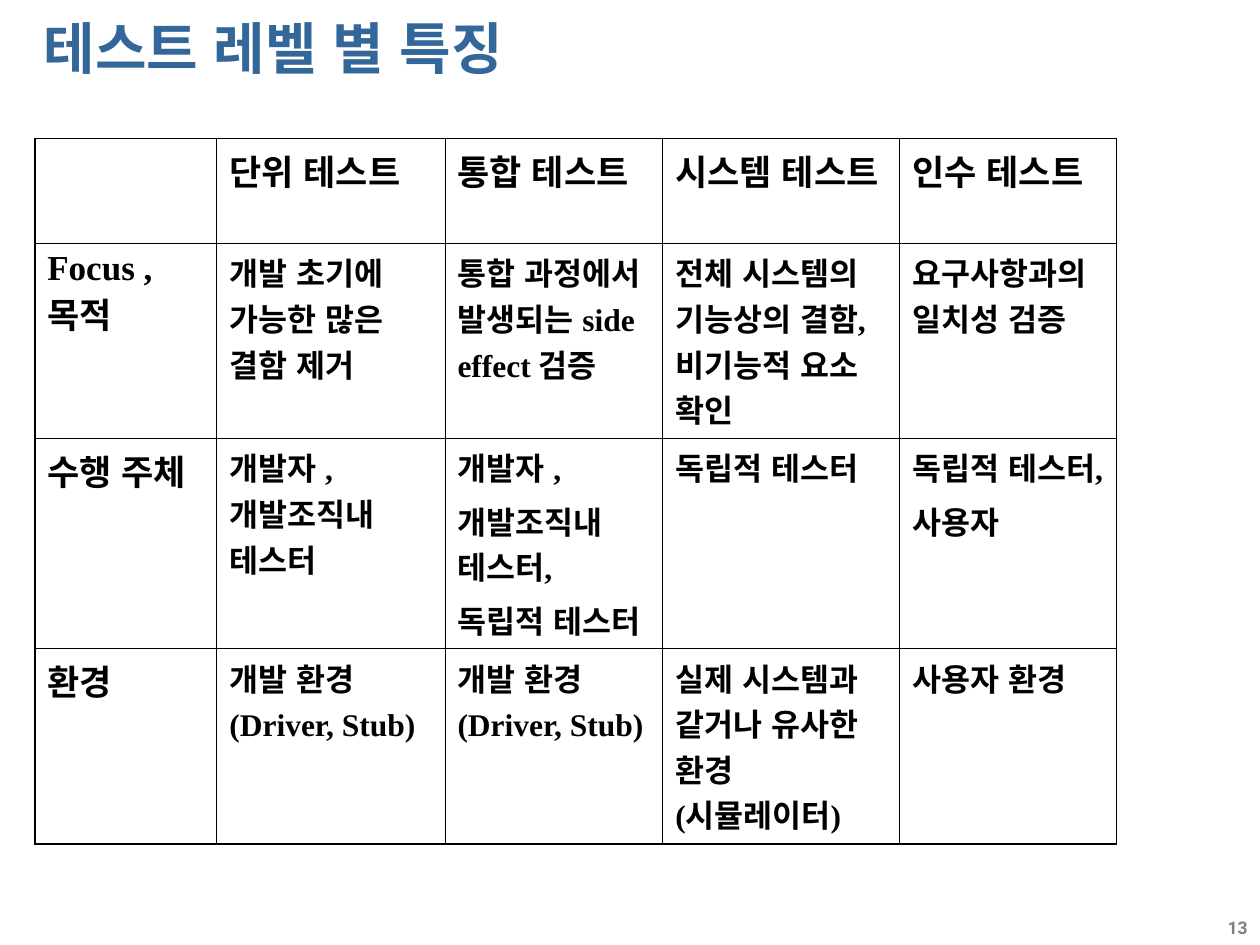
from lxml import etree
from pptx import Presentation
from pptx import util as u
from pptx.dml.color import RGBColor
from pptx.enum import lang, text
from pptx.oxml.ns import qn

COLORS = {"title": "336699", "ink": "000000", "page": "808080"}

TITLE = "테스트 레벨 별 특징"
PAGE = "13"
# Each cell is a list of paragraphs.
ROWS = [
    [[], ["단위 테스트"], ["통합 테스트"], ["시스템 테스트"], ["인수 테스트"]],
    [["Focus , 목적"], ["개발 초기에 가능한 많은 결함 제거"],
     ["통합 과정에서 발생되는 side effect 검증"],
     ["전체 시스템의 기능상의 결함, 비기능적 요소 확인"],
     ["요구사항과의 일치성 검증"]],
    [["수행 주체"], ["개발자 , 개발조직내 테스터"],
     ["개발자 ,", "개발조직내 테스터,", "독립적 테스터"],
     ["독립적 테스터"], ["독립적 테스터,", "사용자"]],
    [["환경"], ["개발 환경", "(Driver, Stub)"], ["개발 환경", "(Driver, Stub)"],
     ["실제 시스템과 같거나 유사한 환경 (시뮬레이터)"], ["사용자 환경"]],
]
COL_WIDTHS = [3.67, 4.6, 4.39, 4.78, 4.37]
ROW_HEIGHTS = [2.11, 3.93, 4.24, 3.94]
THIN, THICK = 0.45, 1.08


def write(tf, paragraphs, size, font="Times New Roman", color="ink",
          align=text.PP_ALIGN.LEFT, gap=0):
    tf.word_wrap = True
    for i, line in enumerate(paragraphs):
        p = tf.paragraphs[0] if i == 0 else tf.add_paragraph()
        p.alignment = align
        p._p.get_or_add_pPr().set("hangingPunct", "0")
        if i:
            p.space_before = u.Pt(gap)
        r = p.add_run()
        r.text = line
        r.font.size, r.font.bold, r.font.name = u.Pt(size), True, font
        r.font.color.rgb = RGBColor.from_string(COLORS[color])
        r.font.language_id = lang.MSO_LANGUAGE_ID.KOREAN


def add_text(slide, left, top, width, height, line,
             anchor=text.MSO_ANCHOR.TOP, **fmt):
    sp = slide.shapes.add_textbox(u.Cm(left), u.Cm(top), u.Cm(width), u.Cm(height))
    sp.text_frame.vertical_anchor = anchor
    write(sp.text_frame, [line], **fmt)


def set_borders(cell, widths):
    """Draw cell borders; widths are points for left, right, top, bottom."""
    pr = cell._tc.get_or_add_tcPr()
    for i, (side, width) in enumerate(zip("LRTB", widths)):
        ln = etree.Element(qn(f"a:ln{side}"), w=str(u.Pt(width)))
        fill = etree.SubElement(ln, qn("a:solidFill"))
        etree.SubElement(fill, qn("a:srgbClr"), val=COLORS["ink"])
        pr.insert(i, ln)


def add_level_table(slide, left, top):
    n_rows, n_cols = len(ROWS), len(COL_WIDTHS)
    table = slide.shapes.add_table(
        n_rows, n_cols, u.Cm(left), u.Cm(top),
        u.Cm(sum(COL_WIDTHS)), u.Cm(sum(ROW_HEIGHTS))).table
    table.first_row = table.horz_banding = False
    for col, width in zip(table.columns, COL_WIDTHS):
        col.width = u.Cm(width)
    for row, height in zip(table.rows, ROW_HEIGHTS):
        row.height = u.Cm(height)
    for i, row in enumerate(ROWS):
        for j, paragraphs in enumerate(row):
            cell = table.cell(i, j)
            cell.fill.background()
            size = 20 if i == 0 or j == 0 else 18
            write(cell.text_frame, paragraphs, size, gap=4.5)
            outer = (j == 0, j == n_cols - 1, i == 0, i == n_rows - 1)
            set_borders(cell, [THICK if edge else THIN for edge in outer])


def main():
    prs = Presentation()
    prs.slide_width, prs.slide_height = u.Cm(25.4), u.Cm(19.05)
    slide = prs.slides.add_slide(prs.slide_layouts[6])
    add_text(slide, 0.63, 0.22, 21.8, 1.47, TITLE, size=32, font="Karla",
             color="title", anchor=text.MSO_ANCHOR.MIDDLE)
    add_level_table(slide, 0.7, 2.79)
    add_text(slide, 19.48, 18.37, 5.92, 0.38, PAGE, size=10, font="Roboto",
             color="page", align=text.PP_ALIGN.RIGHT)
    prs.save("out.pptx")


if __name__ == "__main__":
    main()
